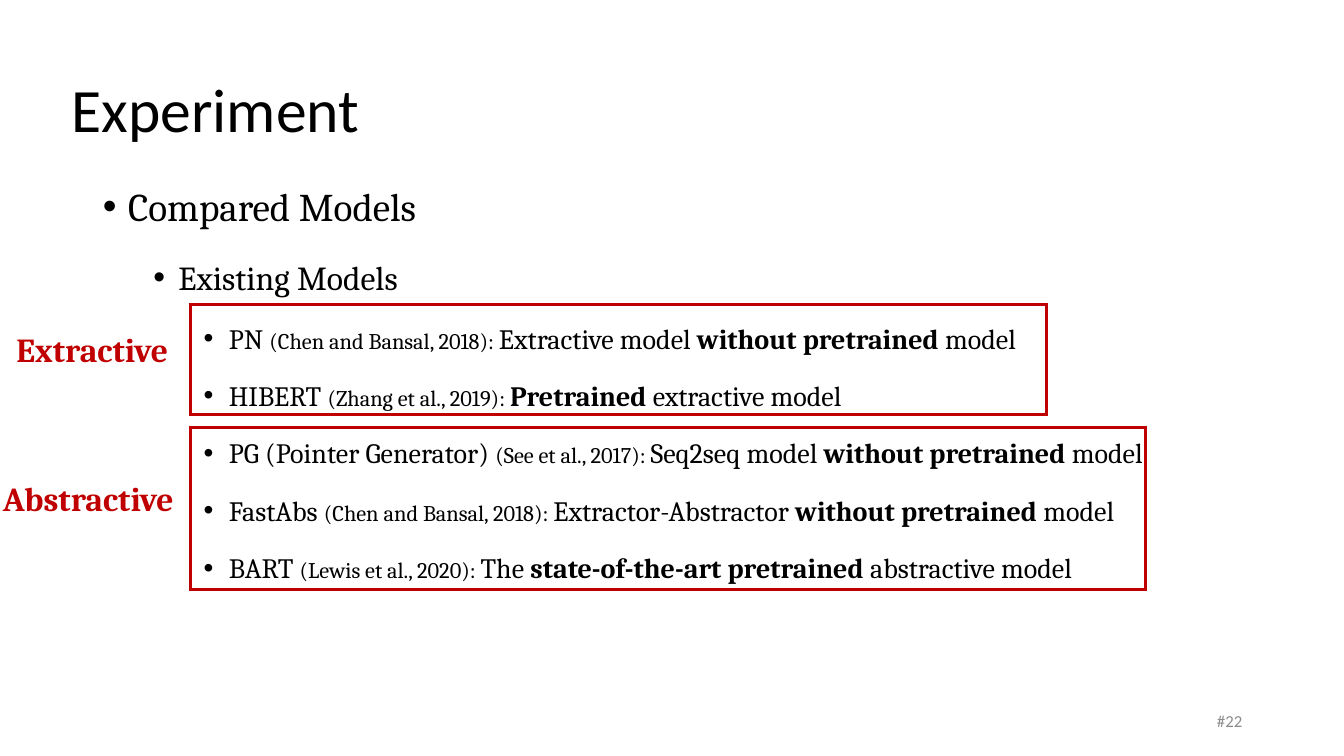
from dataclasses import dataclass

from lxml import etree
from pptx import Presentation
from pptx.dml.color import RGBColor
from pptx.enum.shapes import MSO_SHAPE
from pptx.enum.text import MSO_ANCHOR, MSO_AUTO_SIZE, PP_ALIGN
from pptx.oxml.ns import qn
from pptx.util import Inches, Pt

BLACK = RGBColor(0x00, 0x00, 0x00)
RED = RGBColor(0xC0, 0x00, 0x00)
GRAY = RGBColor(0x8C, 0x8C, 0x8C)
HEADING_FONT = "Calibri"
BODY_FONT = "Cambria"
LEFT, CENTER, RIGHT = PP_ALIGN.LEFT, PP_ALIGN.CENTER, PP_ALIGN.RIGHT
MIDDLE = MSO_ANCHOR.MIDDLE
NO_AUTOFIT = MSO_AUTO_SIZE.NONE
RECTANGLE = MSO_SHAPE.RECTANGLE
TITLE_AND_CONTENT = 1
LEVEL_SIZES = (28, 24, 20)
CITATION_SIZE = 16


@dataclass
class Model:
    name: str
    citation: str
    before: str
    emphasis: str
    after: str


@dataclass
class Group:
    label: str
    label_top: float
    label_width: float
    frame_top: float
    frame_width: float
    frame_height: float


MODELS = (
    Model("PN ", "(Chen and Bansal, 2018): ", "Extractive model ",
          "without pretrained", " model"),
    Model("HIBERT ", "(Zhang et al., 2019): ", "",
          "Pretrained", " extractive model"),
    Model("PG (Pointer Generator) ", "(See et al., 2017): ", "Seq2seq model ",
          "without pretrained ", "model"),
    Model("FastAbs ", "(Chen and Bansal, 2018): ", "Extractor-Abstractor ",
          "without pretrained ", "model"),
    Model("BART ", "(Lewis et al., 2020): ", "The ",
          "state-of-the-art pretrained ", "abstractive model"),
)
GROUPS = (
    Group("Extractive", 3.21, 1.83, 3.02, 8.49, 1.09),
    Group("Abstractive", 4.69, 1.75, 4.24, 9.47, 1.61),
)
FRAME_LEFT = 1.89


def place(shape, left: float, top: float, width: float, height: float) -> None:
    shape.left, shape.top = Inches(left), Inches(top)
    shape.width, shape.height = Inches(width), Inches(height)


def set_font(font, name: str, size: float, color: RGBColor, bold: bool = False) -> None:
    font.name = name
    font.size = Pt(size)
    font.color.rgb = color
    font.bold = bold


def format_bullet(para, level: int) -> None:
    para.level = level
    para.alignment = LEFT
    para.line_spacing = 1.5
    para.space_before = Pt(5 if level else 0)
    properties = para._p.get_or_add_pPr()
    properties.set("marL", str(Inches(0.25 + 0.5 * level)))
    properties.set("indent", str(Inches(-0.25)))
    etree.SubElement(properties, qn("a:buFont"), typeface="Arial")
    etree.SubElement(properties, qn("a:buChar"), char="•")
    set_font(para.font, BODY_FONT, LEVEL_SIZES[level], BLACK)


def add_model(para, model: Model) -> None:
    format_bullet(para, 2)
    for text in (model.name, model.citation, model.before, model.emphasis, model.after):
        if not text:
            continue
        span = para.add_run()
        span.text = text
        if text == model.citation:
            span.font.size = Pt(CITATION_SIZE)
        elif text == model.emphasis:
            span.font.bold = True


def add_label(page, text: str, left: float, top: float, width: float, height: float,
              alignment: PP_ALIGN):
    box = page.shapes.add_textbox(Inches(left), Inches(top), Inches(width), Inches(height))
    box.text_frame.word_wrap = True
    para = box.text_frame.paragraphs[0]
    para.text = text
    para.alignment = alignment
    return box


def add_group(page, group: Group) -> None:
    frame = page.shapes.add_shape(
        RECTANGLE, Inches(FRAME_LEFT), Inches(group.frame_top),
        Inches(group.frame_width), Inches(group.frame_height))
    frame.shadow.inherit = False
    frame.fill.background()
    frame.line.color.rgb = RED
    frame.line.width = Pt(2.25)
    etree.SubElement(frame.line._get_or_add_ln(), qn("a:miter"), lim="800000")

    # Without side margins the label fits on one line
    label = add_label(page, group.label, 0, group.label_top, group.label_width, 0.5, CENTER)
    label.text_frame.margin_left = label.text_frame.margin_right = 0
    set_font(label.text_frame.paragraphs[0].font, BODY_FONT, 24, RED, bold=True)


def main() -> None:
    deck = Presentation()
    deck.slide_width, deck.slide_height = Inches(13.33), Inches(7.5)
    page = deck.slides.add_slide(deck.slide_layouts[TITLE_AND_CONTENT])

    # Title
    title = page.shapes.title
    place(title, 0.61, 0.39, 11.5, 1.45)
    title.text_frame.auto_size = NO_AUTOFIT
    title.text_frame.vertical_anchor = MIDDLE
    heading = title.text_frame.paragraphs[0]
    heading.text = "Experiment"
    heading.alignment = LEFT
    heading.line_spacing = 0.9
    set_font(heading.font, HEADING_FONT, 44, BLACK)

    # Model list
    body = page.placeholders[1]
    place(body, 0.92, 1.53, 11.5, 5.97)
    outline = body.text_frame
    outline.auto_size = NO_AUTOFIT
    for level, text in enumerate(("Compared Models", "Existing Models")):
        para = outline.add_paragraph() if level else outline.paragraphs[0]
        para.text = text
        format_bullet(para, level)
    for model in MODELS:
        add_model(outline.add_paragraph(), model)

    # Framed groups
    for group in GROUPS:
        add_group(page, group)

    # Page number
    number = add_label(page, "#22", 9.42, 6.95, 3, 0.4, RIGHT)
    number.text_frame.vertical_anchor = MIDDLE
    set_font(number.text_frame.paragraphs[0].font, HEADING_FONT, 12, GRAY)

    deck.save("out.pptx")


if __name__ == "__main__":
    main()
